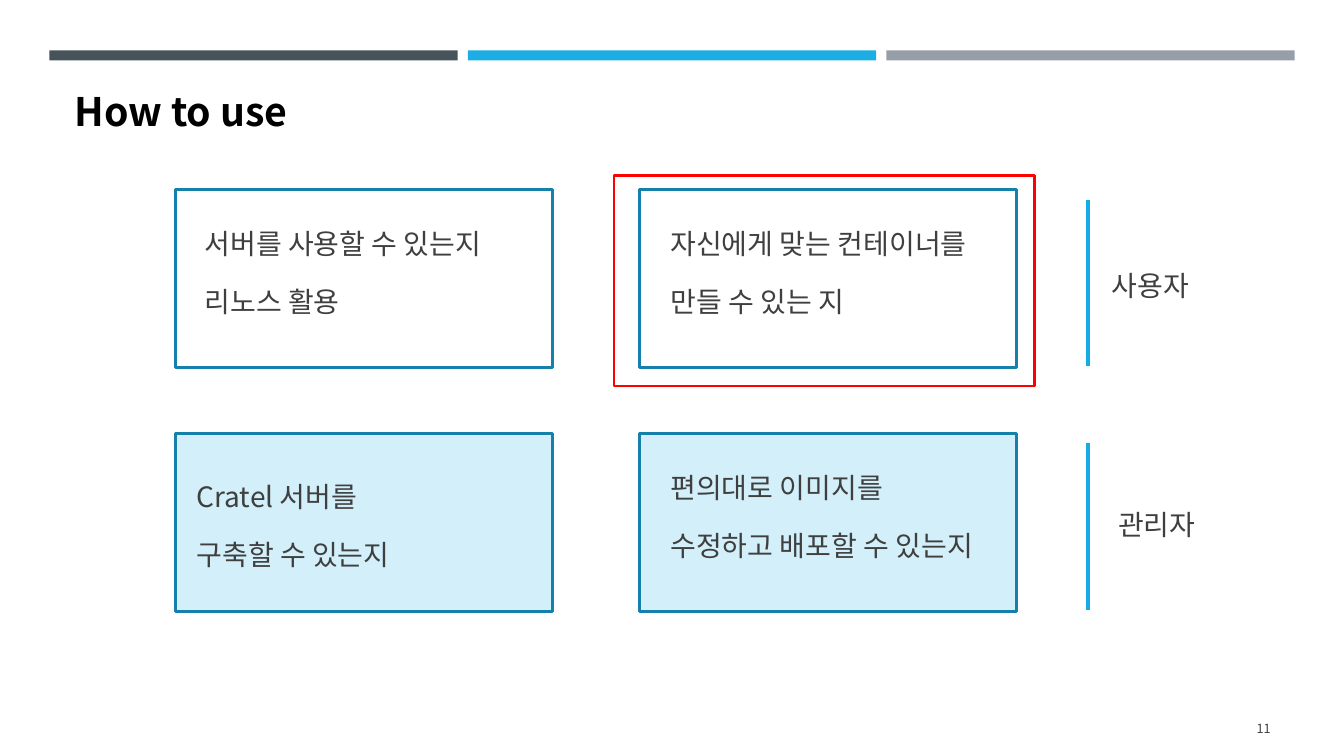
from dataclasses import dataclass

from lxml import etree
from pptx import Presentation
from pptx import util as u
from pptx.dml.color import RGBColor
from pptx.enum import shapes, text
from pptx.oxml import ns


@dataclass(frozen=True)
class Theme:
    font: str = "Noto Sans CJK KR"
    title_size: int = 28
    body_size: int = 20
    number_size: int = 9
    title: str = "000000"
    body: str = "3F3F3F"
    bars: tuple = ("465359", "1CADE4", "969FA7")
    card_line: str = "1580A9"
    card_fill: str = "D2EFFA"
    divider: str = "16ABE4"
    highlight: str = "FF0000"


class SlideBuilder:
    def __init__(self, page, theme):
        self.page = page
        self.theme = theme

    def add_span(self, para, words, size, color, bold=False):
        span = para.add_run()
        span.text = words
        span.font.name = self.theme.font
        span.font.size = u.Pt(size)
        span.font.bold = bold
        span.font.color.rgb = RGBColor.from_string(color)
        east_asian = etree.SubElement(span.font._element, ns.qn("a:ea"))
        east_asian.set("typeface", self.theme.font)

    def title(self, left, top, width, height, words):
        box = self.page.shapes.title
        box.left, box.top = u.Inches(left), u.Inches(top)
        box.width, box.height = u.Inches(width), u.Inches(height)
        frame = box.text_frame
        frame.word_wrap = True
        frame.auto_size = text.MSO_AUTO_SIZE.SHAPE_TO_FIT_TEXT
        frame.vertical_anchor = text.MSO_ANCHOR.TOP
        para = frame.paragraphs[0]
        para.alignment = text.PP_ALIGN.LEFT
        self.add_span(para, words, self.theme.title_size, self.theme.title, True)

    def text_box(self, left, top, width, height, words, size):
        box = self.page.shapes.add_textbox(
            u.Inches(left), u.Inches(top), u.Inches(width), u.Inches(height))
        frame = box.text_frame
        frame.word_wrap = True
        frame.vertical_anchor = text.MSO_ANCHOR.MIDDLE
        para = frame.paragraphs[0]
        self.add_span(para, words, size, self.theme.body)
        return para

    def body_line(self, left, top, words):
        para = self.text_box(left, top, 5.09, 0.82, words, self.theme.body_size)
        para.line_spacing = 1.1
        para.space_before = u.Pt(10)

    def slide_number(self, words):
        para = self.text_box(11.55, 7.03, 1.15, 0.4, words, self.theme.number_size)
        para.alignment = text.PP_ALIGN.RIGHT

    def rectangle(self, left, top, width, height, fill=None, line=None):
        box = self.page.shapes.add_shape(
            shapes.MSO_SHAPE.RECTANGLE,
            u.Inches(left), u.Inches(top), u.Inches(width), u.Inches(height))
        box.shadow.inherit = False
        if fill:
            box.fill.solid()
            box.fill.fore_color.rgb = RGBColor.from_string(fill)
        else:
            box.fill.background()
        if line:
            box.line.color.rgb = RGBColor.from_string(line)
            box.line.width = u.Pt(2)
        else:
            box.line.fill.background()

    def divider(self, left, top, height):
        line = self.page.shapes.add_connector(
            shapes.MSO_CONNECTOR.STRAIGHT,
            u.Inches(left), u.Inches(top), u.Inches(left), u.Inches(top + height))
        line.line.color.rgb = RGBColor.from_string(self.theme.divider)
        line.line.width = u.Pt(3)
        etree.SubElement(line._element.spPr, ns.qn("a:effectLst"))


def main():
    deck = Presentation()
    deck.slide_width = u.Inches(13.33)
    deck.slide_height = u.Inches(7.5)
    theme = Theme()
    slide = SlideBuilder(deck.slides.add_slide(deck.slide_layouts[5]), theme)

    for index, color in enumerate(theme.bars):
        slide.rectangle(0.49 + 4.15 * index, 0.5, 4.05, 0.1, fill=color)
    slide.title(0.64, 0.82, 4.73, 0.57, "How to use")
    slide.slide_number("11")

    card_lefts = (1.74, 6.34)
    line_pitch = 0.57
    rows = (
        (1.88, None, ("사용자", 10.93, 2.4), (
            (1.93, 1.99, ("서버를 사용할 수 있는지", "리노스 활용")),
            (6.55, 1.99, ("자신에게 맞는 컨테이너를", "만들 수 있는 지")),
        )),
        (4.3, theme.card_fill, ("관리자", 10.99, 4.77), (
            (1.85, 4.5, ("Cratel 서버를", "구축할 수 있는지")),
            (6.55, 4.41, ("편의대로 이미지를", "수정하고 배포할 수 있는지")),
        )),
    )
    for row_top, fill, (role, role_left, role_top), cards in rows:
        for card_left, (left, top, lines) in zip(card_lefts, cards):
            slide.rectangle(card_left, row_top, 3.74, 1.77, fill, theme.card_line)
            for index, words in enumerate(lines):
                slide.body_line(left, top + line_pitch * index, words)
        slide.divider(10.79, row_top + 0.1, 1.65)
        slide.body_line(role_left, role_top, role)

    slide.rectangle(6.09, 1.74, 4.17, 2.09, line=theme.highlight)
    deck.save("out.pptx")


if __name__ == "__main__":
    main()
